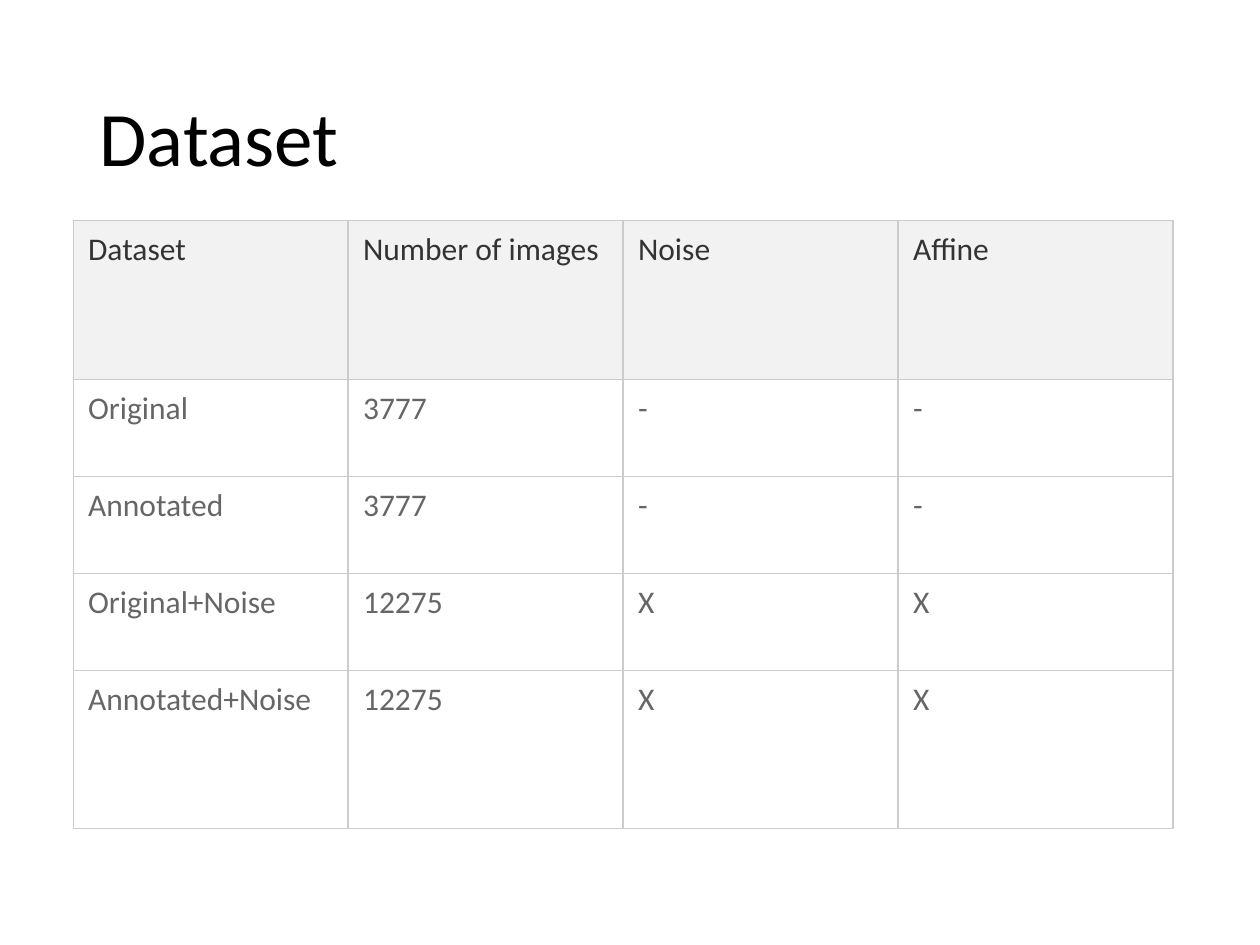
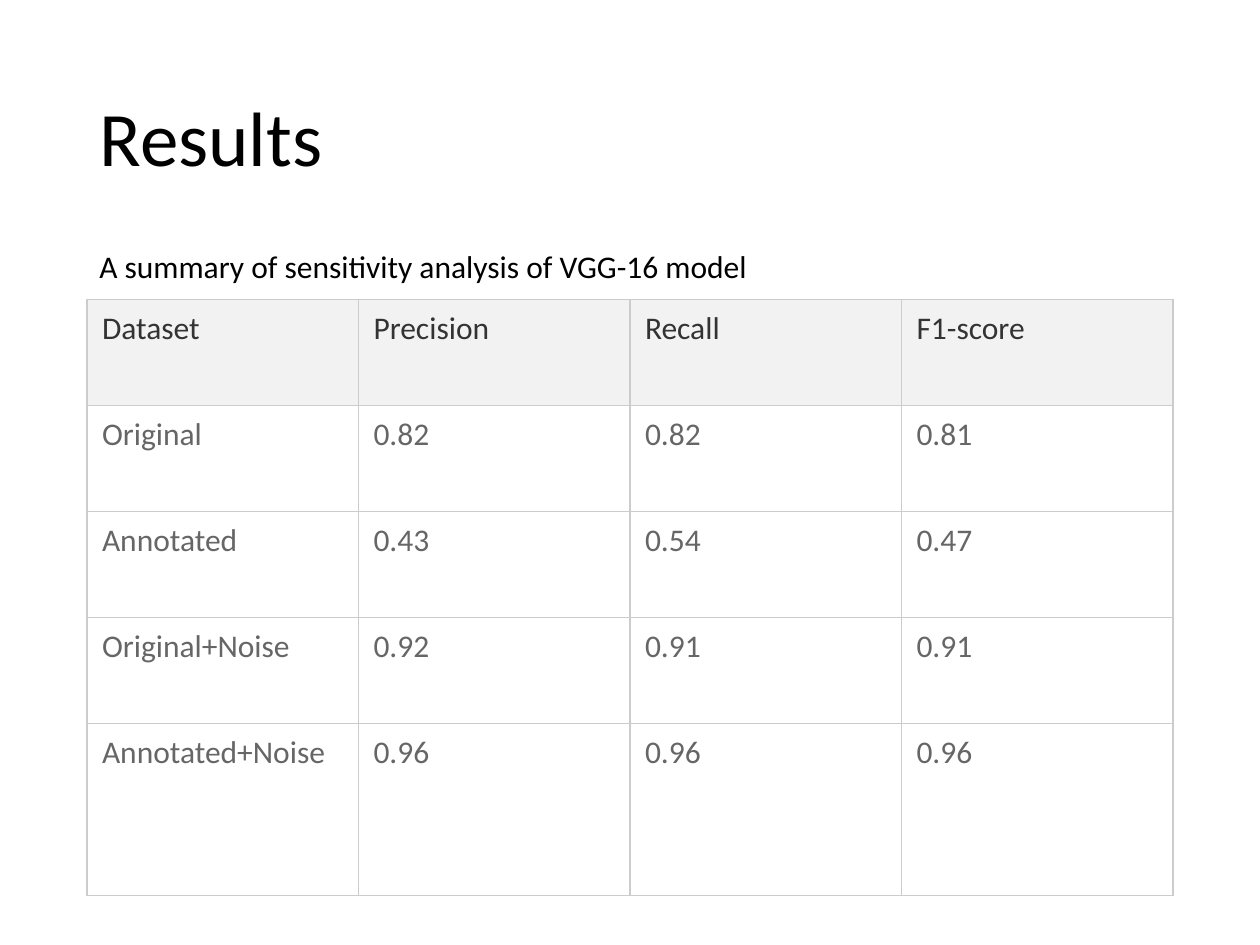
from lxml.etree import SubElement
from pptx import Presentation
from pptx.dml.color import RGBColor
from pptx.enum.text import MSO_ANCHOR, MSO_AUTO_SIZE, PP_ALIGN
from pptx.oxml.ns import qn
from pptx.util import Inches, Pt

COLORS = {
    "background": "FFFFFF",
    "title": "000000",
    "header_text": "333333",
    "body_text": "666666",
    "header_fill": "F2F2F2",
    "body_fill": "FFFFFF",
    "border": "CCCCCC",
}
FONT = "Calibri"
MARGIN = 0.69
CONTENT_WIDTH = 8.62

TABLE_SLIDES = [
    {
        "title": "Dataset",
        "caption": None,
        "left": 0.58, "top": 1.75, "width": 8.73,
        "row_heights": [1.26, 0.77, 0.77, 0.77, 1.26],
        "rows": [
            ["Dataset", "Number of images", "Noise", "Affine"],
            ["Original", "3777", "-", "-"],
            ["Annotated", "3777", "-", "-"],
            ["Original+Noise", "12275", "X", "X"],
            ["Annotated+Noise", "12275", "X", "X"],
        ],
    },
    {
        "title": "Results",
        "caption": "A summary of sensitivity analysis of VGG-16 model",
        "left": MARGIN, "top": 2.38, "width": CONTENT_WIDTH,
        "row_heights": [0.84, 0.84, 0.84, 0.84, 1.37],
        "rows": [
            ["Dataset", "Precision", "Recall", "F1-score"],
            ["Original", "0.82", "0.82", "0.81"],
            ["Annotated", "0.43", "0.54", "0.47"],
            ["Original+Noise", "0.92", "0.91", "0.91"],
            ["Annotated+Noise", "0.96", "0.96", "0.96"],
        ],
    },
]


def write_text(text_frame, text, size=18, color="title", line_spacing=1.0):
    paragraph = text_frame.paragraphs[0]
    paragraph.alignment = PP_ALIGN.LEFT
    paragraph.line_spacing = line_spacing
    run = paragraph.add_run()
    run.text = text
    run.font.name = FONT
    run.font.size = Pt(size)
    run.font.color.rgb = RGBColor.from_string(COLORS[color])


def style_cell(cell, fill):
    """Set the margins, the four borders and the fill of a table cell."""
    cell.margin_left = cell.margin_right = Inches(0.12)
    cell.margin_top = cell.margin_bottom = Inches(0.08)
    properties = cell._tc.get_or_add_tcPr()
    for side in ("a:lnL", "a:lnR", "a:lnT", "a:lnB"):
        line = SubElement(properties, qn(side), w=str(Pt(0.75)))
        line_fill = SubElement(line, qn("a:solidFill"))
        SubElement(line_fill, qn("a:srgbClr"), val=COLORS["border"])
    # The fill must follow the borders in the cell properties
    cell.fill.solid()
    cell.fill.fore_color.rgb = RGBColor.from_string(COLORS[fill])


presentation = Presentation()
presentation.slide_width = Inches(10)
presentation.slide_height = Inches(7.5)
title_only_layout = presentation.slide_layouts[5]

for content in TABLE_SLIDES:
    slide = presentation.slides.add_slide(title_only_layout)
    slide.background.fill.solid()
    slide.background.fill.fore_color.rgb = RGBColor.from_string(COLORS["background"])

    title = slide.shapes.title
    title.left, title.top = Inches(MARGIN), Inches(0.4)
    title.width, title.height = Inches(CONTENT_WIDTH), Inches(1.45)
    title.text_frame.vertical_anchor = MSO_ANCHOR.MIDDLE
    write_text(title.text_frame, content["title"], size=44, line_spacing=0.9)

    rows = content["rows"]
    column_count = len(rows[0])
    table = slide.shapes.add_table(
        len(rows), column_count,
        Inches(content["left"]), Inches(content["top"]),
        Inches(content["width"]), Inches(sum(content["row_heights"])),
    ).table
    table.first_row = True
    table.horz_banding = False
    for column in table.columns:
        column.width = Inches(content["width"] / column_count)

    for row_index, values in enumerate(rows):
        table.rows[row_index].height = Inches(content["row_heights"][row_index])
        part = "header" if row_index == 0 else "body"
        for column_index, value in enumerate(values):
            cell = table.cell(row_index, column_index)
            style_cell(cell, f"{part}_fill")
            write_text(cell.text_frame, value, color=f"{part}_text")
            cell.text_frame.paragraphs[0].runs[0].font.bold = False

    if content["caption"]:
        caption = slide.shapes.add_textbox(
            Inches(MARGIN), Inches(1.91), Inches(5.4), Inches(0.4))
        caption.text_frame.word_wrap = False
        caption.text_frame.auto_size = MSO_AUTO_SIZE.SHAPE_TO_FIT_TEXT
        write_text(caption.text_frame, content["caption"])

presentation.save("out.pptx")
